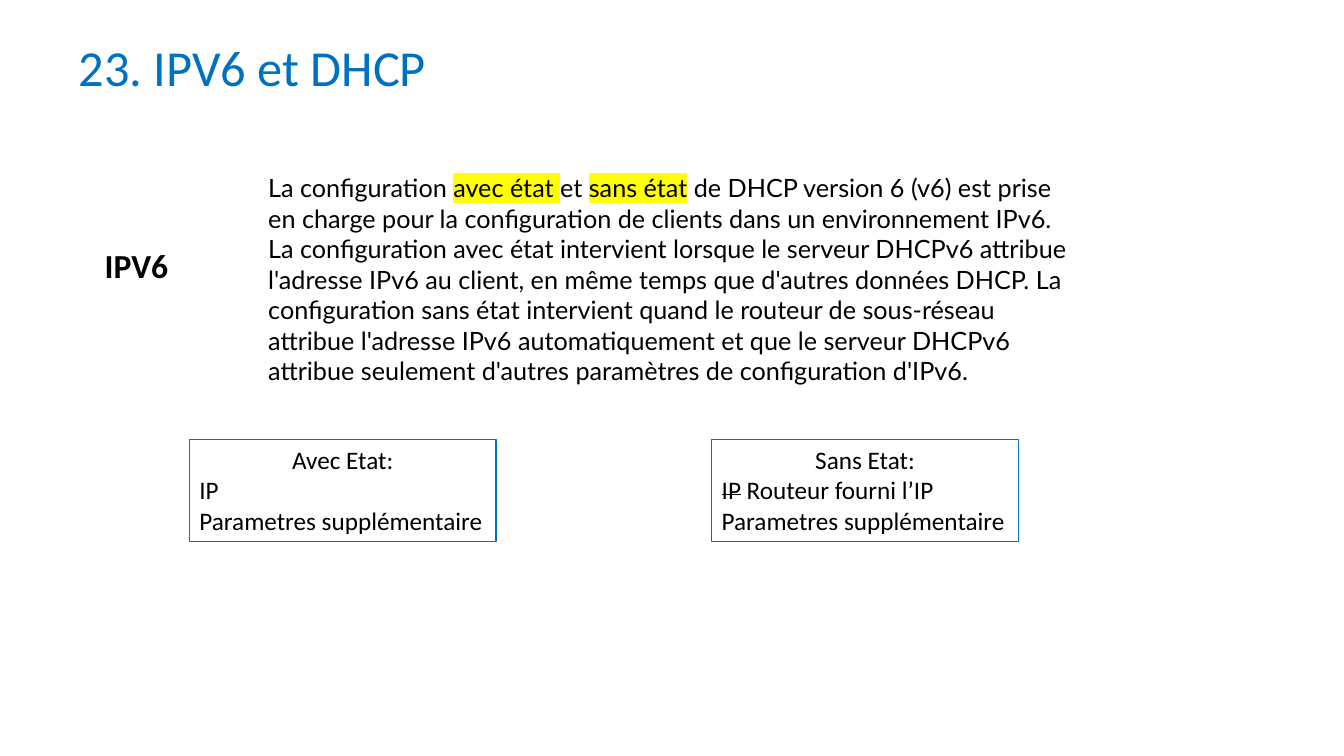
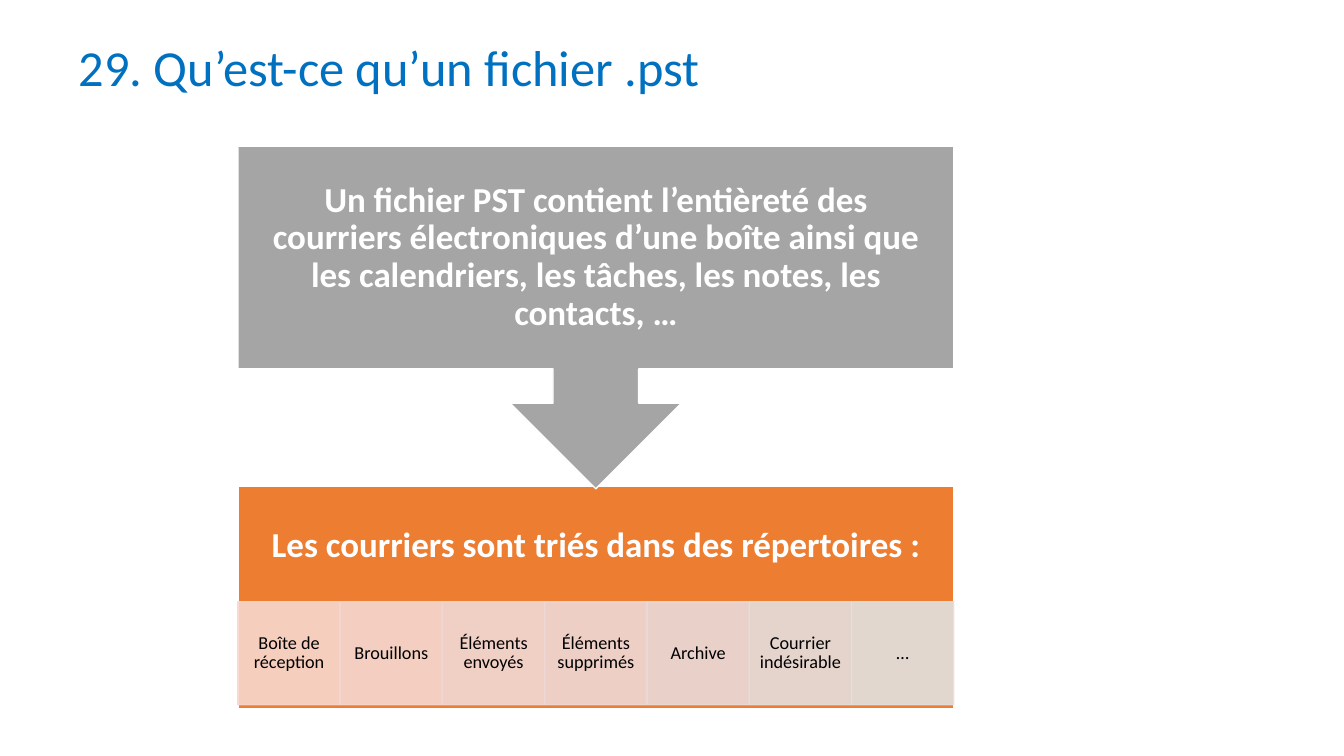
"""Builds two slides: DHCP with IPv6, and what a .pst file holds."""
from lxml import etree
from pptx import Presentation
from pptx import util as u
from pptx.dml.color import RGBColor
from pptx.enum import shapes, text
from pptx.oxml.ns import qn

BLUE, BLACK, WHITE = "0070C0", "000000", "FFFFFF"
GREY, ORANGE, YELLOW = "A5A5A5", "ED7D31", "FFFF00"
LEFT, CENTER = text.PP_ALIGN.LEFT, text.PP_ALIGN.CENTER
MIDDLE = text.MSO_ANCHOR.MIDDLE
BOX_INSETS = (0.1, 0.05, 0.1, 0.05)

DHCP_TITLE = "23. IPV6 et DHCP"
DHCP_LABEL = "IPV6"
DHCP_TEXT = [
    "La configuration ",
    ("avec état ", "highlight"),
    "et ",
    ("sans état", "highlight"),
    " de DHCP version 6 (v6) est prise en charge pour la configuration de clients "
    "dans un environnement IPv6. La configuration avec état intervient lorsque le "
    "serveur DHCPv6 attribue l'adresse IPv6 au client, en même temps que d'autres "
    "données DHCP. La configuration sans état intervient quand le routeur de "
    "sous-réseau attribue l'adresse IPv6 automatiquement et que le serveur DHCPv6 "
    "attribue seulement d'autres paramètres de configuration d'IPv6.",
]
MODES = [
    (1.88, [["Avec Etat:"], ["IP"], ["Parametres supplémentaire"]]),
    (7.06, [["Sans Etat:"], [("IP", "strike"), " Routeur fourni l’IP"],
            ["Parametres supplémentaire"]]),
]

PST_TITLE = "29. Qu’est-ce qu’un fichier .pst"
PST_TEXT = ("Un fichier PST contient l’entièreté des courriers électroniques d’une boîte "
            "ainsi que les calendriers, les tâches, les notes, les contacts, …")
FOLDERS_TITLE = "Les courriers sont triés dans des répertoires :"
FOLDERS = [
    ("Boîte de réception", "F8D7CE"),
    ("Brouillons", "F4D7D1"),
    ("Éléments envoyés", "F1D8D4"),
    ("Éléments supprimés", "EDD9D7"),
    ("Archive", "E9DBDA"),
    ("Courrier indésirable", "E5DEDD"),
    ("…", "E1E1E1"),
]
FLOW_LEFT, FLOW_WIDTH = 2.36, 7.1


def rgb(value):
    """Turn a hex string into a colour."""
    return RGBColor.from_string(value)


def mark_run(run, mark):
    """Highlight or strike one run."""
    props = run._r.get_or_add_rPr()
    if mark == "strike":
        props.set("strike", "sngStrike")
    elif mark == "highlight":
        highlight = etree.Element(qn("a:highlight"))
        etree.SubElement(highlight, qn("a:srgbClr")).set("val", YELLOW)
        props.find(qn("a:latin")).addprevious(highlight)


def write(shape, paragraphs, size=18, color=BLACK, font="Calibri", bold=False,
          aligns=(LEFT,), spacing=1.0, before=0, anchor=text.MSO_ANCHOR.TOP,
          insets=BOX_INSETS, wrap=True):
    """Fill a shape with paragraphs; the last alignment serves the remaining ones."""
    frame = shape.text_frame
    frame.auto_size = text.MSO_AUTO_SIZE.NONE
    frame.word_wrap = wrap
    frame.vertical_anchor = anchor
    (frame.margin_left, frame.margin_top,
     frame.margin_right, frame.margin_bottom) = map(u.Inches, insets)
    for index, runs in enumerate(paragraphs):
        paragraph = frame.add_paragraph() if index else frame.paragraphs[0]
        paragraph.alignment = aligns[min(index, len(aligns) - 1)]
        paragraph.line_spacing = spacing
        paragraph.space_before = u.Pt(before)
        for part in runs:
            words, mark = (part, None) if isinstance(part, str) else part
            run = paragraph.add_run()
            run.text = words
            run.font.name = font
            run.font.size = u.Pt(size)
            run.font.bold = bold
            run.font.color.rgb = rgb(color)
            mark_run(run, mark)


def add_titled_slide(deck, title):
    """Add a slide with the shared title style."""
    slide = deck.slides.add_slide(deck.slide_layouts[5])
    heading = slide.shapes.title
    heading.left, heading.top, heading.width, heading.height = map(
        u.Inches, (0.68, 0.31, 12.01, 0.71))
    write(heading, [[title]], size=36, color=BLUE)
    return slide


def add_text(slide, place, paragraphs, **style):
    """Add a text box."""
    write(slide.shapes.add_textbox(*map(u.Inches, place)), paragraphs, **style)


def add_box(slide, place, paragraphs, kind=shapes.MSO_SHAPE.RECTANGLE, fill=None,
            line=WHITE, line_width=1, opacity=None, **style):
    """Add a preset shape with its text."""
    box = slide.shapes.add_shape(kind, *map(u.Inches, place))
    box.shadow.inherit = False
    if fill:
        box.fill.solid()
        box.fill.fore_color.rgb = rgb(fill)
    else:
        box.fill.background()
    box.line.color.rgb = rgb(line)
    box.line.width = u.Pt(line_width)
    if opacity:
        for color in list(box._element.spPr.iter(qn("a:srgbClr"))):
            etree.SubElement(color, qn("a:alpha")).set("val", str(opacity * 1000))
    write(box, paragraphs, **style)


def build_dhcp(deck):
    """Build the slide on DHCP with IPv6."""
    slide = add_titled_slide(deck, DHCP_TITLE)
    add_text(slide, (1.19, 1.66, 10.59, 2.23), [DHCP_TEXT], font="Lato",
             spacing=1.01, before=2.4, insets=(1.47, 0.05, 1.1, 0.05))
    for left, lines in MODES:
        add_box(slide, (left, 4.36, 3.04, 1.01), lines, line=BLUE,
                line_width=0.75, aligns=(CENTER, LEFT), wrap=False)
    add_text(slide, (0.94, 2.38, 0.84, 0.5), [[DHCP_LABEL]], size=24, bold=True,
             wrap=False)


def build_pst(deck):
    """Build the slide on the .pst file."""
    slide = add_titled_slide(deck, PST_TITLE)
    centred = dict(aligns=(CENTER,), spacing=0.9, anchor=MIDDLE)
    banner = dict(centred, size=25, color=WHITE, bold=True)
    add_box(slide, (FLOW_LEFT, 4.82, FLOW_WIDTH, 2.21), [[FOLDERS_TITLE]],
            fill=ORANGE, insets=(0.19, 0.19, 0.19, 1.21), **banner)
    cell = FLOW_WIDTH / len(FOLDERS)
    for index, (folder, tint) in enumerate(FOLDERS):
        add_box(slide, (FLOW_LEFT + index * cell, 5.97, cell, 1.02), [[folder]],
                fill=tint, line=tint, opacity=90, size=13,
                insets=(0.09, 0.02, 0.09, 0.02), **centred)
    add_box(slide, (FLOW_LEFT, 1.45, FLOW_WIDTH, 3.4), [[PST_TEXT]],
            kind=shapes.MSO_SHAPE.DOWN_ARROW_CALLOUT, fill=GREY,
            insets=(0.19,) * 4, **banner)


def main():
    """Build and save the deck."""
    deck = Presentation()
    deck.slide_width, deck.slide_height = u.Inches(13.33), u.Inches(7.5)
    build_dhcp(deck)
    build_pst(deck)
    deck.save("out.pptx")


if __name__ == "__main__":
    main()
